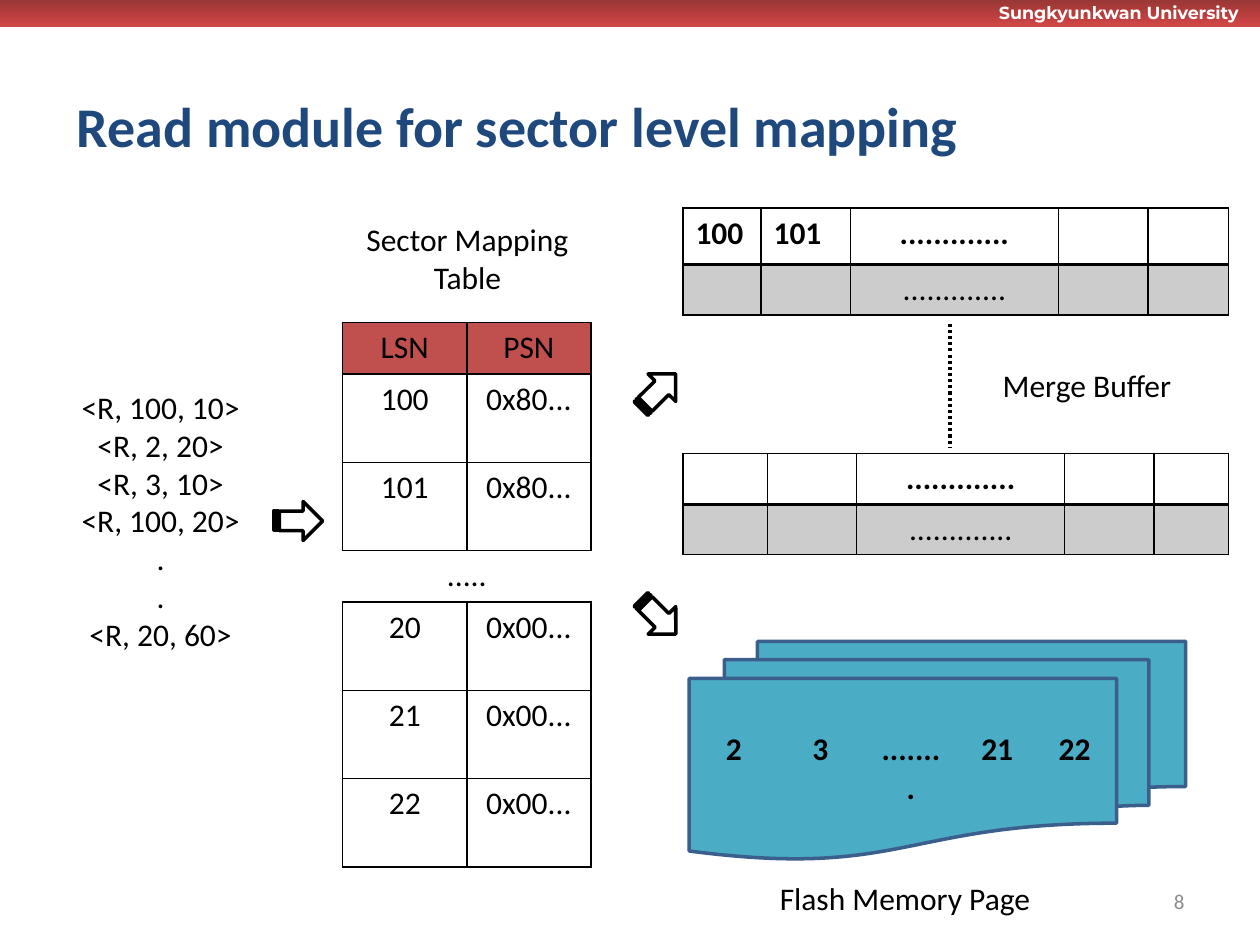
from lxml.etree import SubElement
from pptx import Presentation
from pptx.dml.color import RGBColor
from pptx.enum.dml import MSO_LINE
from pptx.enum.shapes import MSO_CONNECTOR, MSO_SHAPE as SHAPE
from pptx.enum.text import MSO_ANCHOR as ANCHOR, PP_ALIGN as ALIGN
from pptx.oxml.ns import qn
from pptx.util import Inches, Pt

COLORS = {
    "black": "000000", "white": "FFFFFF", "title": "1F497D", "number": "8C8C8C",
    "bar_top": "953735", "bar_end": "C00000", "header": "C0504D",
    "page": "4BACC6", "page_line": "3A5F8C",
}
NO_STYLE = "{2D5ABB26-0587-4C30-8999-92F81FD0307C}"
DOTS = "............."

TITLE = "Read module for sector level mapping"
REQUESTS = ["<R, 100, 10>", "<R, 2, 20>", "<R, 3, 10>", "<R, 100, 20>", ".", ".",
            "<R, 20, 60>"]
MAPPING = [("LSN", "PSN"), ("100", "0x80..."), ("101", "0x80..."), (".....", ""),
           ("20", "0x00..."), ("21", "0x00..."), ("22", "0x00...")]
PAGE = [("2", "3", "........", "21", "22")]
# top, column widths, row heights, cells
BUFFERS = [
    (1.65, (0.62, 0.71, 1.65, 0.71, 0.64), (0.45, 0.4),
     [("100", "101", DOTS, "", ""), ("", "", DOTS, "", "")]),
    (3.6, (0.67, 0.71, 1.65, 0.71, 0.59), (0.4, 0.4),
     [("", "", DOTS, "", ""), ("", "", DOTS, "", "")]),
]
# left, top, width, height, lines, alignment
LABELS = [
    (0.54, 3.03, 1.47, 2.22, REQUESTS, ALIGN.CENTER),
    (2.8, 1.7, 1.82, 0.71, ["Sector Mapping", "Table"], ALIGN.CENTER),
    (7.86, 2.86, 1.56, 0.4, ["Merge Buffer"], ALIGN.LEFT),
    (6.09, 6.93, 2.21, 0.4, ["Flash Memory Page"], ALIGN.LEFT),
]
ARROWS = [(2.17, 3.98, 0), (5.03, 2.95, 315), (5.03, 4.74, 45)]  # left, top, rotation


def rgb(name):
    return RGBColor.from_string(COLORS[name])


def style(p, size=18, color="black", bold=False, align=ALIGN.LEFT, font="Calibri"):
    p.alignment = align
    p.font.name, p.font.size, p.font.bold = font, Pt(size), bold
    p.font.color.rgb = rgb(color)


def set_alpha(element, percent):
    """Make the last colour inside the element translucent."""
    color = list(element.iter(qn("a:srgbClr")))[-1]
    SubElement(color, qn("a:alpha"), val=str(percent * 1000))


def add_label(slide, left, top, width, height, lines, **kw):
    box = slide.shapes.add_textbox(*map(Inches, (left, top, width, height)))
    tf = box.text_frame
    tf.word_wrap = False
    tf.text = "\n".join(lines)
    for p in tf.paragraphs:
        style(p, **kw)
    return tf


def add_shape(slide, kind, left, top, width, height, fill, line):
    s = slide.shapes.add_shape(kind, *map(Inches, (left, top, width, height)))
    s.shadow.inherit = False
    s.fill.solid()
    s.fill.fore_color.rgb = rgb(fill)
    s.line.color.rgb = rgb(line)
    s.line.width = Pt(2)
    return s


def set_borders(cell, widths):
    """widths maps sides L, R, T, B to points; call before filling the cell."""
    tcPr = cell._tc.get_or_add_tcPr()
    for side in "LRTB":
        if side in widths:
            ln = SubElement(tcPr, qn("a:ln" + side), w=str(Pt(widths[side])))
            fill = SubElement(ln, qn("a:solidFill"))
            SubElement(fill, qn("a:srgbClr"), val=COLORS["black"])


def fill_cell(cell, color, alpha=100):
    cell.fill.solid()
    cell.fill.fore_color.rgb = rgb(color)
    if alpha < 100:
        set_alpha(cell._tc.tcPr, alpha)


def add_table(slide, left, top, cols, rows, data, bold=False):
    frame = slide.shapes.add_table(len(rows), len(cols), Inches(left), Inches(top),
                                   Inches(sum(cols)), Inches(sum(rows)))
    table = frame.table
    table.first_row = table.horz_banding = False
    table._tbl.tblPr.find(qn("a:tableStyleId")).text = NO_STYLE
    for col, width in zip(table.columns, cols):
        col.width = Inches(width)
    for row, height, texts in zip(table.rows, rows, data):
        row.height = Inches(height)
        for cell, text in zip(row.cells, texts):
            cell.text = text
            style(cell.text_frame.paragraphs[0], bold=bold, align=ALIGN.CENTER)
    return table


def add_mapping_table(slide):
    rows = [0.41 if r in (0, 3) else 0.7 for r in range(len(MAPPING))]
    table = add_table(slide, 2.72, 2.56, (0.985, 0.985), rows, MAPPING)
    for r, row in enumerate(table.rows):
        sides = "TB" if MAPPING[r][1] == "" else "LRTB"
        for cell in row.cells:
            set_borders(cell, dict.fromkeys(sides, 1))
            if r == 0:
                fill_cell(cell, "header")
        if sides == "TB":
            table.cell(r, 0).merge(table.cell(r, 1))


def add_buffer(slide, top, cols, rows, data):
    table = add_table(slide, 5.42, top, cols, rows, data, bold=True)
    for c in range(len(cols)):
        head, body = table.cell(0, c), table.cell(1, c)
        set_borders(head, {"L": 1, "R": 1, "T": 1, "B": 2})
        set_borders(body, {"L": 1, "R": 1, "T": 2, "B": 1})
        fill_cell(body, "black", alpha=20)
        body.text_frame.paragraphs[0].font.bold = False
        if data[0][c].isdigit():
            head.text_frame.paragraphs[0].alignment = ALIGN.LEFT


def add_header(slide):
    bar = add_shape(slide, SHAPE.RECTANGLE, 0, 0, 10, 0.21, "bar_top", "bar_top")
    bar.line.fill.background()
    bar.fill.gradient()
    bar.fill.gradient_angle = 270
    for stop, color in zip(bar.fill.gradient_stops, ("bar_top", "bar_end")):
        stop.color.rgb = rgb(color)
    set_alpha(bar._element.spPr, 70)
    add_label(slide, 7.83, -0.03, 2.19, 0.27, ["Sungkyunkwan University"],
              size=10, color="white", bold=True, font="Montserrat")


def add_title(slide):
    title = slide.shapes.title
    title.left, title.top, title.width, title.height = map(Inches, (0.51, 0.52, 8.49, 0.94))
    title.text_frame.text = TITLE
    title.text_frame.vertical_anchor = ANCHOR.MIDDLE
    style(title.text_frame.paragraphs[0], size=32, color="title", bold=True)


def add_dotted_line(slide):
    line = slide.shapes.add_connector(MSO_CONNECTOR.STRAIGHT,
                                      *map(Inches, (7.54, 2.57, 7.54, 3.55)))
    line.line.color.rgb = rgb("black")
    line.line.width = Pt(1.75)
    line.line.dash_style = MSO_LINE.ROUND_DOT
    SubElement(line._element.spPr, qn("a:effectLst"))


def main():
    prs = Presentation()
    prs.slide_width, prs.slide_height = Inches(10), Inches(7.5)
    slide = prs.slides.add_slide(prs.slide_layouts[5])
    add_header(slide)
    add_title(slide)
    number = add_label(slide, 7.17, 6.95, 2.33, 0.4, ["8"], size=12, color="number",
                       align=ALIGN.RIGHT)
    number.word_wrap = True
    number.vertical_anchor = ANCHOR.MIDDLE

    add_mapping_table(slide)
    for buffer in BUFFERS:
        add_buffer(slide, *buffer)
    add_dotted_line(slide)
    add_shape(slide, SHAPE.FLOWCHART_MULTIDOCUMENT, 5.47, 5.09, 3.94, 1.73,
              "page", "page_line")
    add_table(slide, 5.5, 5.75, (0.65, 0.72, 0.72, 0.65, 0.58), (0.7,), PAGE, bold=True)
    for left, top, rotation in ARROWS:
        arrow = add_shape(slide, SHAPE.STRIPED_RIGHT_ARROW, left, top, 0.39, 0.31,
                          "white", "black")
        arrow.rotation = rotation
    for *place, lines, align in LABELS:
        add_label(slide, *place, lines, align=align)
    prs.save("out.pptx")


if __name__ == "__main__":
    main()
